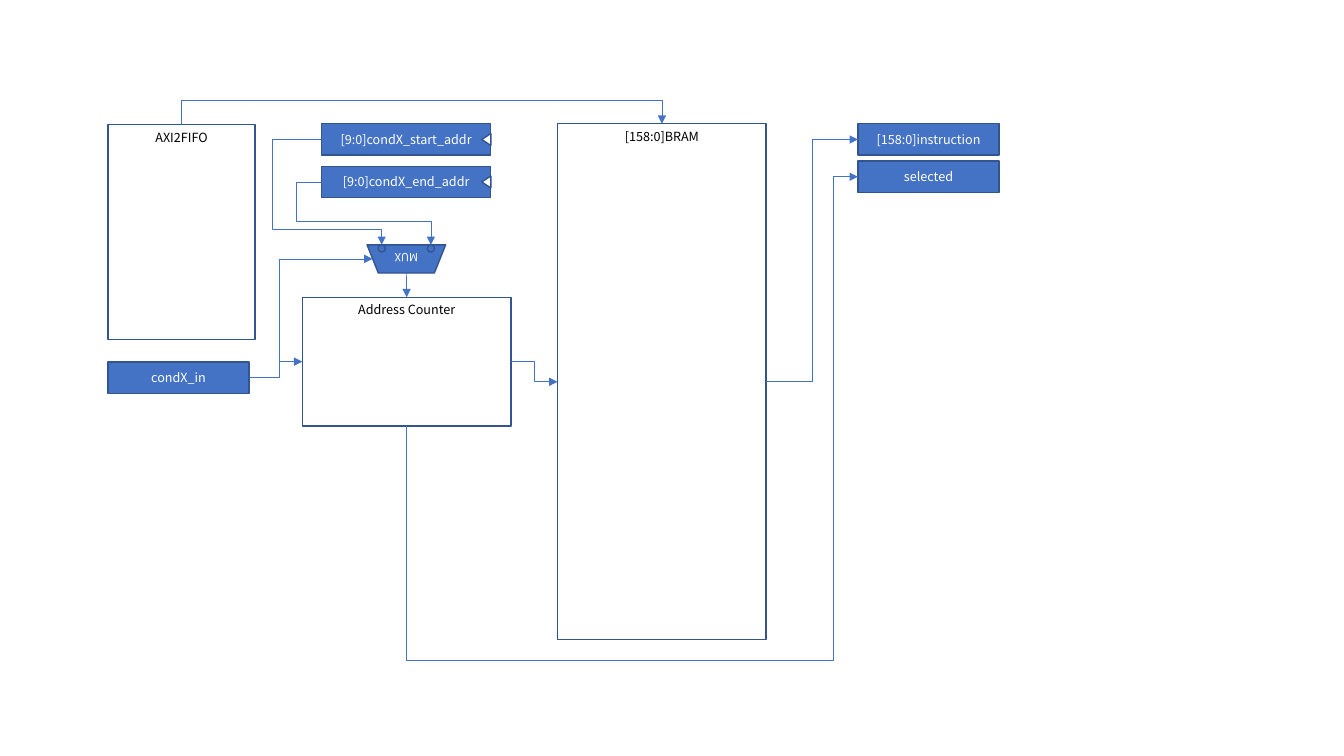
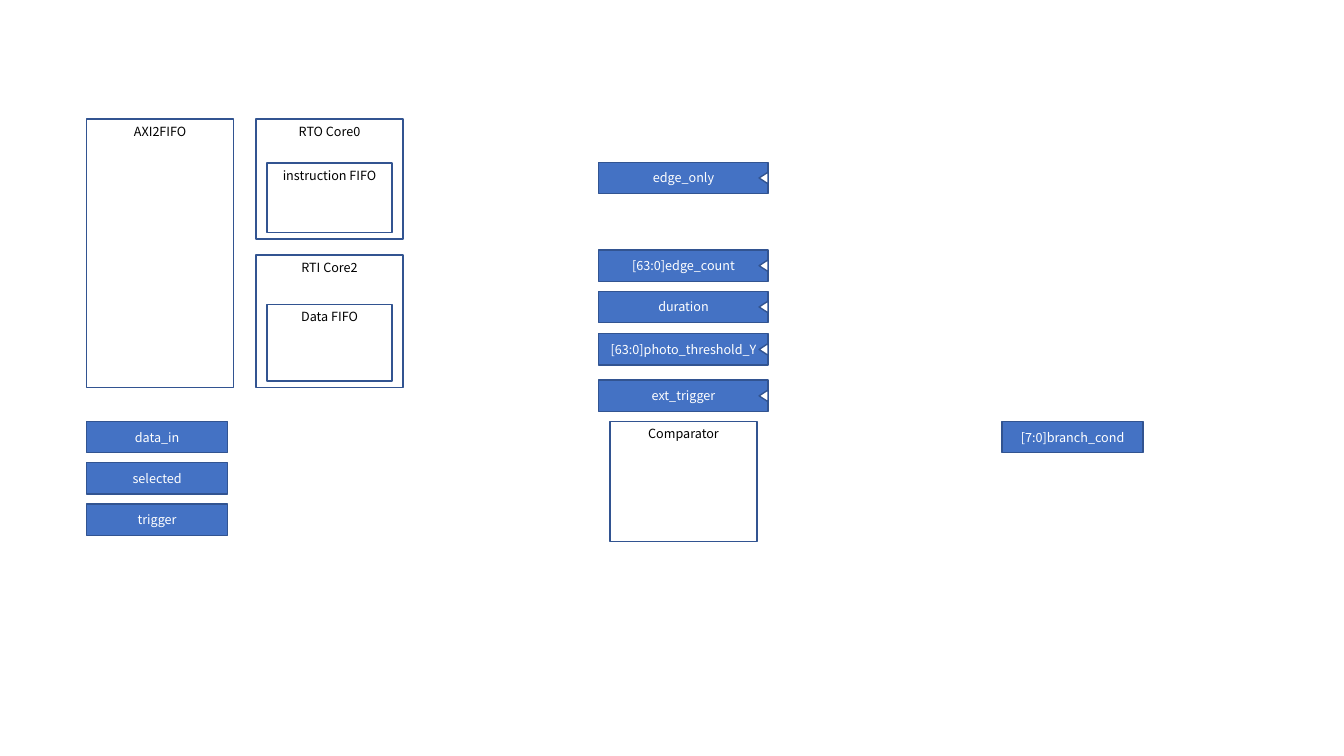
from lxml.etree import SubElement
from pptx import Presentation
from pptx.dml.color import RGBColor
from pptx.enum.shapes import MSO_CONNECTOR as Link, MSO_SHAPE as Preset
from pptx.enum.text import MSO_ANCHOR as Anchor, PP_ALIGN as Align
from pptx.oxml.ns import qn
from pptx.util import Cm, Pt

COLORS = {"signal": "4472C4", "edge": "325491", "wire": "4472C4",
          "light": "FFFFFF", "dark": "000000"}
FONT = "Noto Sans CJK KR"
SIGNAL_WIDTH, REGISTER_WIDTH, SIGNAL_HEIGHT = 3.56, 4.27, 0.79
MEMORY_WIDTH, UNIT_WIDTH, UNIT_HEIGHT = 5.26, 3.71, 3.02


def color(name):
    return RGBColor.from_string(COLORS[name])


def add_shape(shapes, preset, box, fill=None, rotation=0):
    shape = shapes.add_shape(preset, *[Cm(length) for length in box])
    shape.shadow.inherit = False
    shape.rotation = rotation
    if fill:
        shape.fill.solid()
        shape.fill.fore_color.rgb = color(fill)
    else:
        shape.fill.background()
    shape.line.color.rgb = color("edge")
    shape.line.width = Pt(1)
    return shape


def write(shape, text, ink, anchor, size=9):
    frame = shape.text_frame
    frame.text = text
    frame.word_wrap = False
    frame.vertical_anchor = anchor
    para = frame.paragraphs[0]
    para.alignment = Align.CENTER
    font = para.runs[0].font
    font.name, font.size = FONT, Pt(size)
    font.color.rgb = color(ink)


def add_module(shapes, text, left, top, width, height):
    module = add_shape(shapes, Preset.RECTANGLE, (left, top, width, height))
    write(module, text, "dark", Anchor.TOP)
    return module


def add_signal(shapes, text, left, top, width=SIGNAL_WIDTH):
    box = (left, top, width, SIGNAL_HEIGHT)
    signal = add_shape(shapes, Preset.RECTANGLE, box, "signal")
    write(signal, text, "light", Anchor.MIDDLE)
    return signal


def add_register(page, text, left, top):
    shapes = page.shapes.add_group_shape().shapes
    register = add_signal(shapes, text, left, top, REGISTER_WIDTH)
    width, height = 0.3, 0.23
    box = (left + REGISTER_WIDTH - (height + width) / 2,
           top + (SIGNAL_HEIGHT - height) / 2, width, height)
    add_shape(shapes, Preset.ISOSCELES_TRIANGLE, box, "light", 270)
    return register


def add_mux(page, left, top):
    shapes = page.shapes.add_group_shape().shapes
    mux = add_shape(shapes, Preset.TRAPEZOID, (left, top, 1.98, 0.71), "signal", 180)
    mux.adjustments[0] = 0.4
    write(mux, "MUX", "light", Anchor.MIDDLE, 8)
    inputs = [add_shape(shapes, Preset.OVAL, (left + offset, top, 0.18, 0.18), "signal", 180)
              for offset in (0.28, 1.52)]
    return mux, inputs


def add_core(page, title, buffer_title, left, top, height, buffer_height):
    shapes = page.shapes.add_group_shape().shapes
    add_module(shapes, title, left, top, UNIT_WIDTH, height)
    margin = 0.28
    add_module(shapes, buffer_title, left + margin, top + height - buffer_height - 0.16,
               UNIT_WIDTH - 2 * margin, buffer_height)


def side(shape, name):
    across = {"left": 0, "right": shape.width}.get(name, shape.width // 2)
    down = {"top": 0, "bottom": shape.height}.get(name, shape.height // 2)
    return shape.left + across, shape.top + down


def style_wire(wire):
    wire.line.color.rgb = color("wire")
    wire.line.width = Pt(0.5)
    properties = wire.element.spPr
    SubElement(properties.find(qn("a:ln")), qn("a:tailEnd"), type="triangle")
    SubElement(properties, qn("a:effectLst"))


def add_bent_wire(page, start, end, *turns, upright=False):
    """Route from start to end; turns alternate between the two axes."""
    center = [(a + b) / 2 for a, b in zip(start, end)]
    run, rise = end[0] - start[0], end[1] - start[1]
    if upright:
        run, rise = rise, -run
    corners = [int(center[0] - run / 2), int(center[1] - rise / 2),
               int(center[0] + run / 2), int(center[1] + rise / 2)]
    wire = page.shapes.add_connector(Link.ELBOW, *corners)
    properties = wire.element.spPr
    if upright:
        properties.find(qn("a:xfrm")).set("rot", "5400000")
    geometry = properties.find(qn("a:prstGeom"))
    geometry.set("prst", f"bentConnector{len(turns) + 2}")
    guides = geometry.find(qn("a:avLst"))
    for number, turn in enumerate(turns):
        axis = (number + upright) % 2
        share = (Cm(turn) - start[axis]) / (end[axis] - start[axis])
        SubElement(guides, qn("a:gd"), name=f"adj{number + 1}",
                   fmla=f"val {round(share * 100000)}")
    style_wire(wire)


def add_straight_wire(page, start, target):
    wire = page.shapes.add_connector(Link.STRAIGHT, *start, *side(target, "top"))
    wire.end_connect(target, 0)
    style_wire(wire)


def build_instruction_page(page, left, top):
    shapes = page.shapes
    memory = add_module(shapes, "[158:0]BRAM", left + 11.33, top, MEMORY_WIDTH, 13)
    first, last = [add_register(page, text, left + 5.38, top + offset)
                   for text, offset in (("[9:0]condX_start_addr", 0),
                                        ("[9:0]condX_end_addr", 1.07))]
    counter = add_module(shapes, "Address Counter", left + 4.9, top + 4.37,
                         MEMORY_WIDTH, 3.25)
    bus = add_module(shapes, "AXI2FIFO", left, top + 0.02, UNIT_WIDTH, 5.41)
    condition = add_signal(shapes, "condX_in", left, top + 6)
    instruction, selected = [add_signal(shapes, text, left + 18.9, top + offset)
                             for text, offset in (("[158:0]instruction", 0),
                                                  ("selected", 0.94))]
    mux, (first_input, last_input) = add_mux(page, left + 6.53, top + 3.05)

    mux_left, mux_middle = side(mux, "left")
    source = side(condition, "right")
    add_bent_wire(page, source, (mux_left + Cm(0.14), mux_middle), left + 4.32)
    add_bent_wire(page, source, side(counter, "left"), left + 4.32)
    add_bent_wire(page, side(last, "left"), side(last_input, "top"),
                  left + 4.75, top + 2.47)
    add_bent_wire(page, side(first, "left"), side(first_input, "top"),
                  left + 4.14, top + 2.67)
    add_straight_wire(page, side(mux, "bottom"), counter)
    add_bent_wire(page, side(counter, "right"), side(memory, "left"), left + 10.74)
    add_bent_wire(page, side(memory, "right"), side(instruction, "left"), left + 17.75)
    add_bent_wire(page, side(counter, "bottom"), side(selected, "left"),
                  top + 13.52, left + 18.28, upright=True)
    add_bent_wire(page, side(bus, "top"), side(memory, "top"),
                  top - 0.59, upright=True)


def build_trigger_page(page, left, top):
    shapes = page.shapes
    core_left, row_top = left + 4.27, top + 7.62
    add_core(page, "RTO Core0", "instruction FIFO", core_left, top, UNIT_HEIGHT, 1.75)
    add_core(page, "RTI Core2", "Data FIFO", core_left, top + 3.43, 3.33, 1.93)
    add_module(shapes, "AXI2FIFO", left, top, UNIT_WIDTH, 6.76)
    for row, text in enumerate(("data_in", "selected", "trigger")):
        add_signal(shapes, text, left, row_top + row * 1.04)
    for text, offset in (("edge_only", 1.09), ("[63:0]edge_count", 3.3),
                         ("duration", 4.34), ("[63:0]photo_threshold_Y", 5.41),
                         ("ext_trigger", 6.58)):
        add_register(page, text, left + 12.91, top + offset)
    add_module(shapes, "Comparator", left + 13.19, row_top, UNIT_WIDTH, UNIT_HEIGHT)
    add_signal(shapes, "[7:0]branch_cond", left + 23.07, row_top)


def main():
    deck = Presentation()
    deck.slide_width, deck.slide_height = Cm(33.87), Cm(19.05)
    blank = deck.slide_layouts[6]
    build_instruction_page(deck.slides.add_slide(blank), 2.72, 3.12)
    build_trigger_page(deck.slides.add_slide(blank), 2.18, 3)
    deck.save("out.pptx")


if __name__ == "__main__":
    main()
